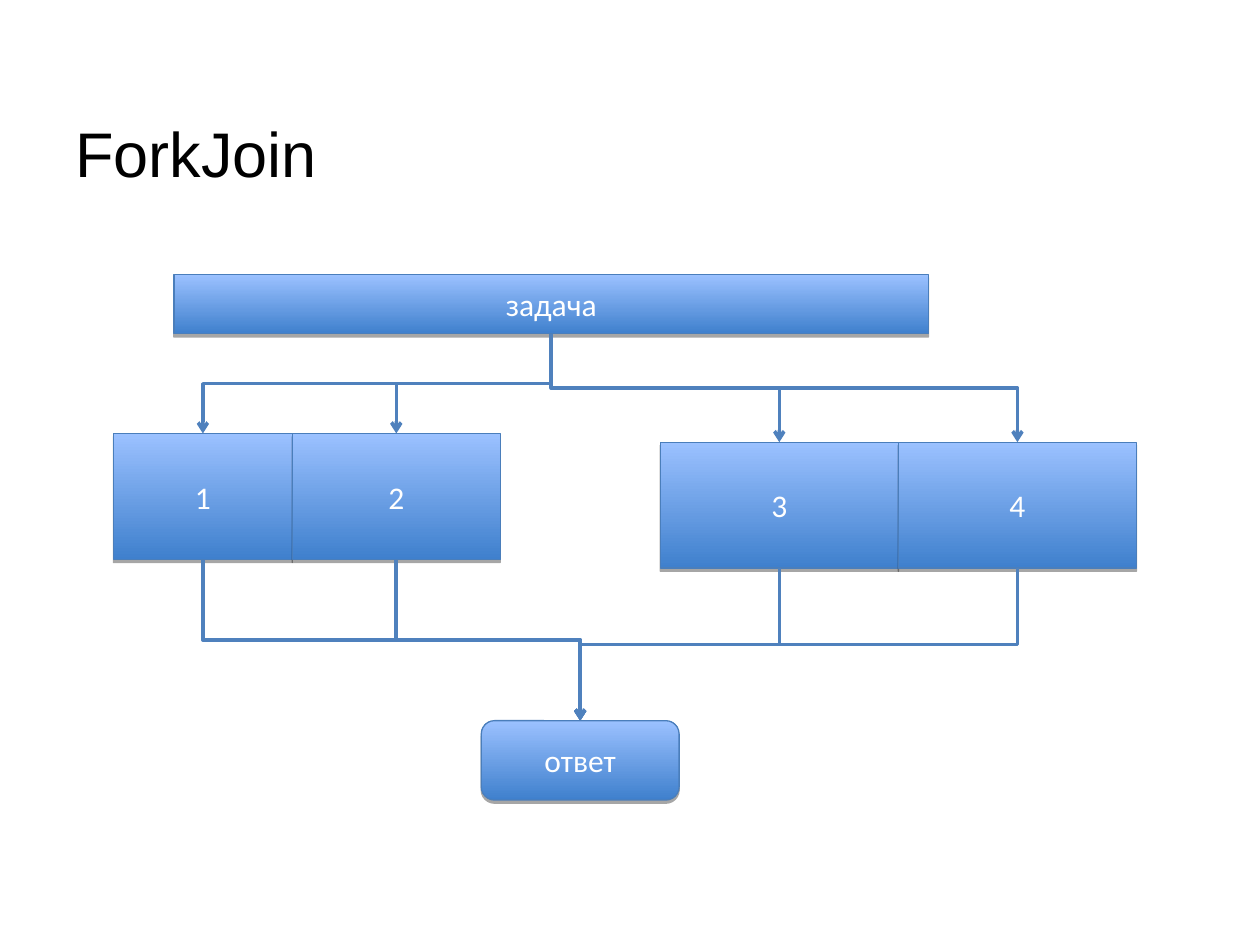
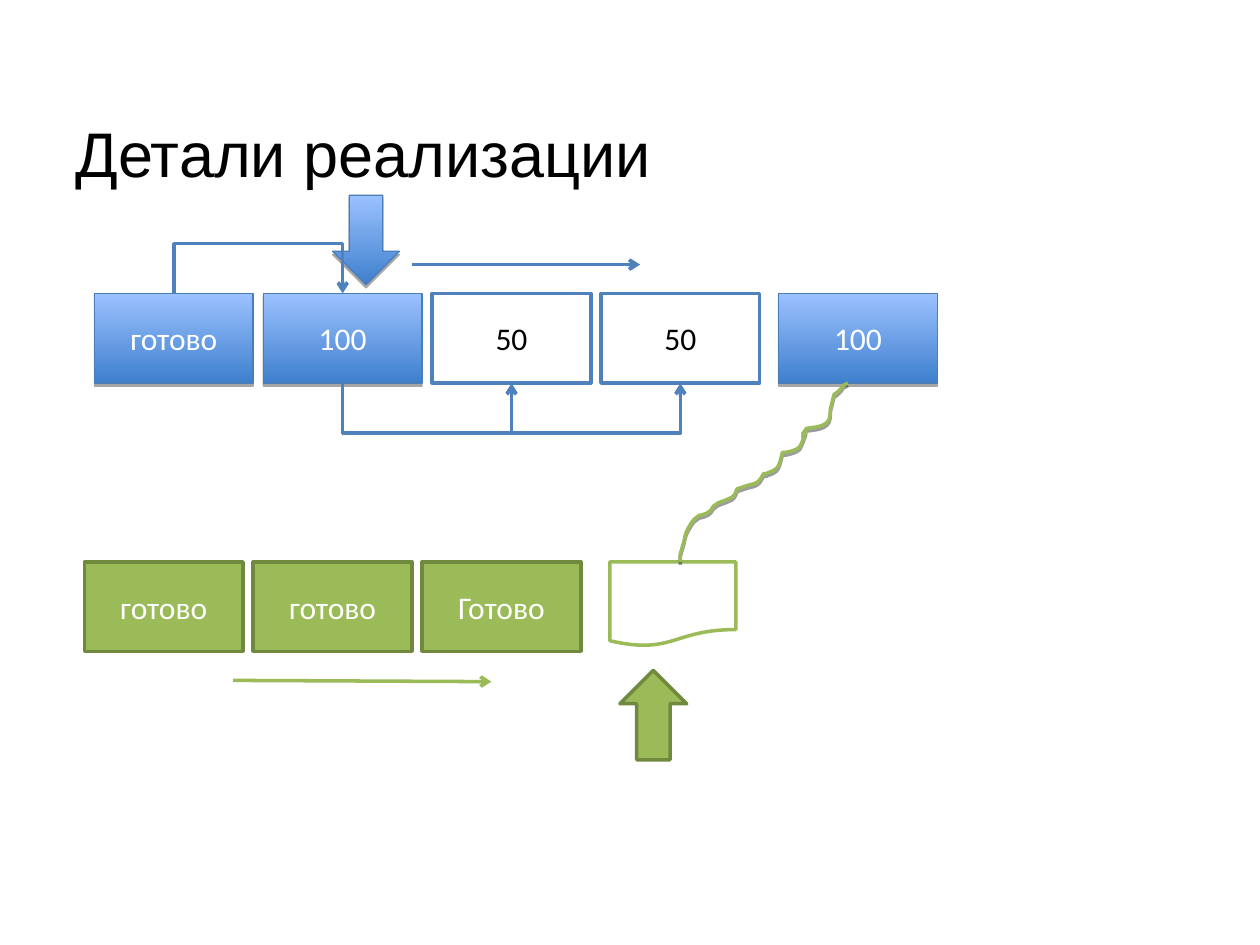
from lxml import etree
from pptx import Presentation
from pptx import util as u
from pptx.dml.color import RGBColor
from pptx.enum import shapes, text
from pptx.oxml import parse_xml
from pptx.oxml.ns import nsdecls, qn

PX = 9144  # 100 px to the inch
WHITE = RGBColor(0xFF, 0xFF, 0xFF)
BLACK = RGBColor(0, 0, 0)
BLUE = RGBColor(0x4F, 0x81, 0xBD)
EDGE = RGBColor(0x4A, 0x7E, 0xBB)
DEEP = RGBColor(0x3F, 0x80, 0xCD)
PALE = RGBColor(0x9B, 0xC1, 0xFF)
GREEN = RGBColor(0x9B, 0xBB, 0x59)
OLIVE = RGBColor(0x71, 0x89, 0x3F)
KIND = shapes.MSO_SHAPE
TOP, BOTTOM = 0, 2

# Looks: fill (None for the blue gradient), line colour, line width, font colour
GLOSS = (None, EDGE, 0.75, WHITE)
PLAIN = (WHITE, BLUE, 2, BLACK)
DONE = (GREEN, OLIVE, 2, WHITE)
PAPER = (WHITE, GREEN, 2, BLACK)

# Thread from the last task down to the sheet: start, then cubic triples
START = (134, 0)
THREAD = [
    (133, 1), (131, 1), (130, 2), (129, 3), (129, 5), (127, 6),
    (126, 7), (125, 8), (123, 9), (123, 9), (121, 17), (121, 17),
    (119, 21), (121, 25), (119, 29), (116, 35), (107, 35), (101, 36),
    (92, 50), (107, 25), (97, 48), (96, 52), (92, 53), (89, 54),
    (87, 55), (84, 55), (82, 55), (81, 58), (80, 66), (77, 68),
    (75, 70), (73, 70), (71, 71), (70, 72), (68, 72), (67, 72),
    (66, 74), (65, 75), (64, 77), (61, 80), (59, 80), (55, 81),
    (52, 82), (46, 84), (46, 84), (44, 89), (44, 90), (39, 92),
    (37, 93), (31, 95), (31, 95), (30, 96), (28, 97), (27, 98),
    (26, 99), (26, 101), (24, 102), (22, 104), (16, 105), (16, 105),
    (15, 106), (13, 107), (12, 108), (8, 113), (5, 118), (4, 125),
    (3, 127), (3, 130), (2, 132), (0, 140), (1, 132), (1, 142),
]


def px(*vals):
    return [u.Emu(v * PX) for v in vals]


def write(shape, words, size=18, font="Calibri", color=WHITE,
          align=text.PP_ALIGN.CENTER):
    frame = shape.text_frame
    frame.word_wrap = True
    frame.vertical_anchor = text.MSO_ANCHOR.MIDDLE
    para = frame.paragraphs[0]
    para.alignment = align
    run = para.add_run()
    run.text = words
    run.font.size = u.Pt(size)
    run.font.name = font
    run.font.color.rgb = color


def shade(shape, alpha=35, dist=1.8):
    shape.shadow.inherit = False
    effect = shape._element.spPr.find(qn("a:effectLst"))
    effect.append(parse_xml(
        f'<a:outerShdw {nsdecls("a")} blurRad="0" dist="{u.Pt(dist)}" '
        f'dir="5400000" rotWithShape="0"><a:srgbClr val="000000">'
        f'<a:alpha val="{alpha * 1000}"/></a:srgbClr></a:outerShdw>'))


def box(slide, x, y, w, h, look, words="", kind=KIND.RECTANGLE):
    fill, line, width, ink = look
    shape = slide.shapes.add_shape(kind, *px(x, y, w, h))
    if fill is None:
        shape.fill.gradient()
        shape.fill.gradient_angle = 90
        for stop, color in zip(shape.fill.gradient_stops, (DEEP, PALE)):
            stop.color.rgb = color
        for stop, pos in zip(shape.fill.gradient_stops, (0, 1)):
            stop.position = pos
        shade(shape)
    else:
        shape.fill.solid()
        shape.fill.fore_color.rgb = fill
        shape.shadow.inherit = False
    shape.line.color.rgb = line
    shape.line.width = u.Pt(width)
    if words:
        write(shape, words, color=ink)
    return shape


def arrow(slide, kind, ends, color):
    con = slide.shapes.add_connector(kind, *ends)
    con.line.color.rgb = color
    con.line.width = u.Pt(2)
    line = con.line._get_or_add_ln()
    etree.SubElement(line, qn("a:tailEnd"), type="arrow")
    etree.SubElement(con._element.spPr, qn("a:effectLst"))
    return con


def link(slide, first, last, sides=(BOTTOM, TOP), bend=None):
    """Elbow that leaves first vertically; bend is its depth in px."""
    con = arrow(slide, shapes.MSO_CONNECTOR.ELBOW, (0, 0, 0, 0), BLUE)
    con.begin_connect(first, sides[0])
    con.end_connect(last, sides[1])
    x1, y1, x2, y2 = con.begin_x, con.begin_y, con.end_x, con.end_y
    # A quarter turn swaps width and height about the centre
    w, h = max(abs(y2 - y1), 2540), abs(x2 - x1)
    con.left, con.top = (x1 + x2 - w) // 2, (y1 + y2 - h) // 2
    con.width, con.height = w, h
    frame = con._element.spPr.find(qn("a:xfrm"))
    frame.set("rot", "5400000")
    frame.set("flipH", str(int(sides[0] == TOP)))
    frame.set("flipV", str(int(x2 > x1)))
    ratio = bend * PX / w if bend else 0.5
    guides = con._element.spPr.find(qn("a:prstGeom")).find(qn("a:avLst"))
    etree.SubElement(guides, qn("a:gd"), name="adj1",
                     fmla=f"val {round(ratio * 100000)}")


def curve(slide, x, y):
    pen = slide.shapes.build_freeform(*START, scale=PX)
    pen.add_line_segments(THREAD, close=False)
    shape = pen.convert_to_shape(*px(x, y))
    shape.fill.background()
    shape.line.color.rgb = GREEN
    shape.line.width = u.Pt(2)
    shade(shape, alpha=38, dist=1.6)
    # Join each three points into one cubic piece
    steps = list(shape._element.iter(qn("a:lnTo")))
    for i in range(0, len(steps), 3):
        cubic = etree.Element(qn("a:cubicBezTo"))
        steps[i].addprevious(cubic)
        for step in steps[i:i + 3]:
            cubic.append(step[0])
            step.getparent().remove(step)


def page(deck, title):
    slide = deck.slides.add_slide(deck.slide_layouts[6])
    head = slide.shapes.add_textbox(*px(50, 58, 900, 125))
    write(head, title, size=36, font="Arial", color=BLACK,
          align=text.PP_ALIGN.LEFT)
    return slide


def fork(slide, x, y):
    # Task, its four parts and the answer
    task = box(slide, x + 48, y, 599, 47, GLOSS, "задача")
    spots = [(0, 126, 142), (142, 126, 165), (434, 133, 189), (623, 133, 189)]
    parts = [box(slide, x + dx, y + dy, w, 100, GLOSS, str(n))
             for n, (dx, dy, w) in enumerate(spots, 1)]
    reply = box(slide, x + 292, y + 354, 157, 63, GLOSS, "ответ",
                KIND.ROUNDED_RECTANGLE)
    for part in parts:
        link(slide, task, part)
        link(slide, part, reply)


def row(slide, x, y, cells):
    return [box(slide, x + 134 * i, y, 126, 71, look, words)
            for i, (words, look) in enumerate(cells)]


def queue(slide, x, y):
    # Tasks and the split of one into halves
    done, whole, *halves = row(slide, x, y + 78, [
        ("готово", GLOSS), ("100", GLOSS), ("50", PLAIN), ("50", PLAIN)])
    box(slide, x + 543, y + 78, 126, 71, GLOSS, "100")
    box(slide, x + 189, y, 53, 71, GLOSS, kind=KIND.DOWN_ARROW)
    arrow(slide, shapes.MSO_CONNECTOR.STRAIGHT,
          px(x + 252, y + 55, x + 433, y + 55), BLUE)
    for half in halves:
        link(slide, whole, half, (BOTTOM, BOTTOM), bend=40)
    link(slide, done, whole, (TOP, TOP), bend=40)


def helper(slide, x, y):
    # Second worker: finished tasks and the sheet it takes over
    row(slide, x, y, [(w, DONE) for w in ("готово", "готово", "Готово")])
    arrow(slide, shapes.MSO_CONNECTOR.STRAIGHT,
          px(x + 118, y + 94, x + 323, y + 95), GREEN)
    box(slide, x + 417, y, 100, 67, PAPER, kind=KIND.FLOWCHART_DOCUMENT)
    mark = box(slide, x + 425, y + 86, 53, 71, DONE, kind=KIND.DOWN_ARROW)
    mark.rotation = 180
    curve(slide, x + 472, y - 142)


def main():
    deck = Presentation()
    deck.slide_width, deck.slide_height = px(1000, 750)
    fork(page(deck, "ForkJoin"), 90, 218)
    slide = page(deck, "Детали реализации")
    queue(slide, 75, 155)
    helper(slide, 67, 446)
    deck.save("out.pptx")


if __name__ == "__main__":
    main()
